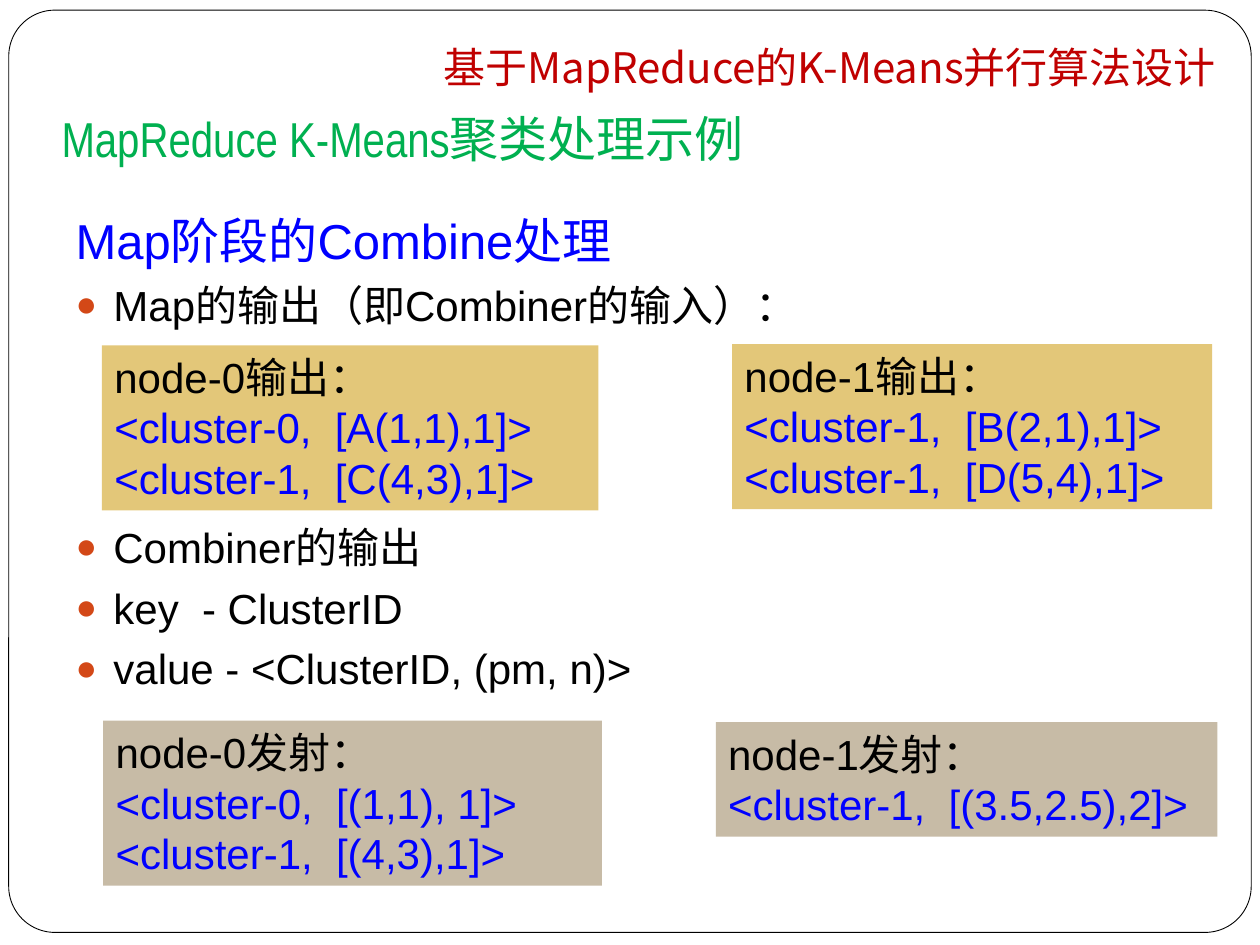
from lxml.etree import SubElement
from pptx import Presentation
from pptx.dml.color import RGBColor
from pptx.enum.shapes import MSO_SHAPE as Shape
from pptx.enum.text import MSO_ANCHOR as Anchor, MSO_AUTO_SIZE as AutoSize, PP_ALIGN as Align
from pptx.oxml.ns import qn
from pptx.util import Pt

CJK_FONT = "Noto Sans CJK SC"
BLACK, BLUE, GOLD, TAUPE = "000000", "0000FF", "E3C779", "C7BBA6"
TITLE = "基于MapReduce的K-Means并行算法设计"
SUBTITLE = "MapReduce K-Means聚类处理示例"
HEADING = "Map阶段的Combine处理"
GAP, BOX_GAP = 5.8, 109.6
BULLETS = [
    ("Map的输出（即Combiner的输入）：", GAP),
    ("Combiner的输出", BOX_GAP),
    ("key  - ClusterID", GAP),
    ("value - <ClusterID, (pm, n)>", GAP),
]
NODE_BOXES = [
    ((58.3, 197.3, 283.7, 94.3), GOLD,
     ["node-0输出：", "<cluster-0,  [A(1,1),1]>", "<cluster-1,  [C(4,3),1]>"]),
    ((418.3, 196.6, 274.3, 94.3), GOLD,
     ["node-1输出：", "<cluster-1,  [B(2,1),1]>", "<cluster-1,  [D(5,4),1]>"]),
    ((59, 411.8, 285, 94.3), TAUPE,
     ["node-0发射：", "<cluster-0,  [(1,1), 1]>", "<cluster-1,  [(4,3),1]>"]),
    ((409, 412.6, 286.6, 65.5), TAUPE,
     ["node-1发射：", "<cluster-1,  [(3.5,2.5),2]>"]),
]


def color(hex_value):
    return RGBColor.from_string(hex_value)


def place(shape, left, top, width, height):
    shape.left, shape.top = Pt(left), Pt(top)
    shape.width, shape.height = Pt(width), Pt(height)


def prepare(text_frame, anchor=Anchor.TOP):
    text_frame.word_wrap = True
    text_frame.auto_size = AutoSize.NONE
    text_frame.vertical_anchor = anchor


def style(paragraph, size, hex_value, font="Arial", align=Align.LEFT, before=0):
    paragraph.alignment = align
    paragraph.space_before = Pt(before)
    paragraph.line_spacing = Pt(size * 1.2)
    for run in paragraph.runs:
        run.font.name, run.font.size = font, Pt(size)
        run.font.color.rgb = color(hex_value)


def set_bullet(paragraph, bulleted):
    properties = paragraph._p.get_or_add_pPr()
    properties.set("marL", str(Pt(21.6)))
    properties.set("indent", str(Pt(-21.6)))
    if not bulleted:
        SubElement(properties, qn("a:buNone"))
        return
    bullet_color = SubElement(properties, qn("a:buClr"))
    SubElement(bullet_color, qn("a:srgbClr"), val="D34817")
    SubElement(properties, qn("a:buSzPct"), val="85000")
    SubElement(properties, qn("a:buFont"), typeface="Arial")
    SubElement(properties, qn("a:buChar"), char="●")


def add_frame(slide):
    frame = slide.shapes.add_shape(
        Shape.ROUNDED_RECTANGLE, Pt(5), Pt(5.8), Pt(710), Pt(527))
    frame.adjustments[0] = 0.05
    frame.shadow.inherit = False
    frame.fill.solid()
    frame.fill.fore_color.rgb = color("FFFFFF")
    frame.line.color.rgb = color(BLACK)
    frame.line.width = Pt(0.5)
    slide.shapes.title.element.addprevious(frame.element)


def fill_title(title):
    place(title, 91.4, 12.2, 610.6, 47.5)
    text_frame = title.text_frame
    text_frame.text = TITLE
    prepare(text_frame, Anchor.BOTTOM)
    text_frame.margin_bottom = Pt(7.2)
    paragraph = text_frame.paragraphs[0]
    style(paragraph, 24, "C00000", CJK_FONT, Align.RIGHT)
    paragraph.line_spacing = 1.2
    paragraph.space_after = Pt(6)


def add_subtitle(slide):
    box = slide.shapes.add_textbox(Pt(28.1), Pt(58.3), Pt(463.7), Pt(41))
    box.text_frame.text = SUBTITLE
    prepare(box.text_frame)
    style(box.text_frame.paragraphs[0], 28, "00B050", "Arial Narrow")


def fill_body(body):
    place(body, 36, 116.6, 647.3, 423.4)
    text_frame = body.text_frame
    text_frame.text = "\n".join([HEADING] + [text for text, _ in BULLETS])
    prepare(text_frame)
    heading, *items = text_frame.paragraphs
    set_bullet(heading, False)
    style(heading, 28, BLUE)
    for paragraph, (_, before) in zip(items, BULLETS):
        set_bullet(paragraph, True)
        style(paragraph, 24, BLACK, before=before)


def add_node_box(slide, bounds, fill, lines):
    box = slide.shapes.add_shape(Shape.RECTANGLE, *map(Pt, bounds))
    box.shadow.inherit = False
    box.fill.solid()
    box.fill.fore_color.rgb = color(fill)
    box.line.fill.background()
    box.text_frame.text = "\n".join(lines)
    prepare(box.text_frame)
    for index, paragraph in enumerate(box.text_frame.paragraphs):
        style(paragraph, 24, BLUE if index else BLACK)


def main():
    """Build the slide on the Combine step of MapReduce K-Means."""
    presentation = Presentation()
    presentation.slide_width, presentation.slide_height = Pt(720), Pt(540)
    slide = presentation.slides.add_slide(presentation.slide_layouts[1])
    add_frame(slide)
    fill_title(slide.shapes.title)
    fill_body(slide.placeholders[1])
    add_subtitle(slide)
    for bounds, fill, lines in NODE_BOXES:
        add_node_box(slide, bounds, fill, lines)
    presentation.save("out.pptx")


if __name__ == "__main__":
    main()
